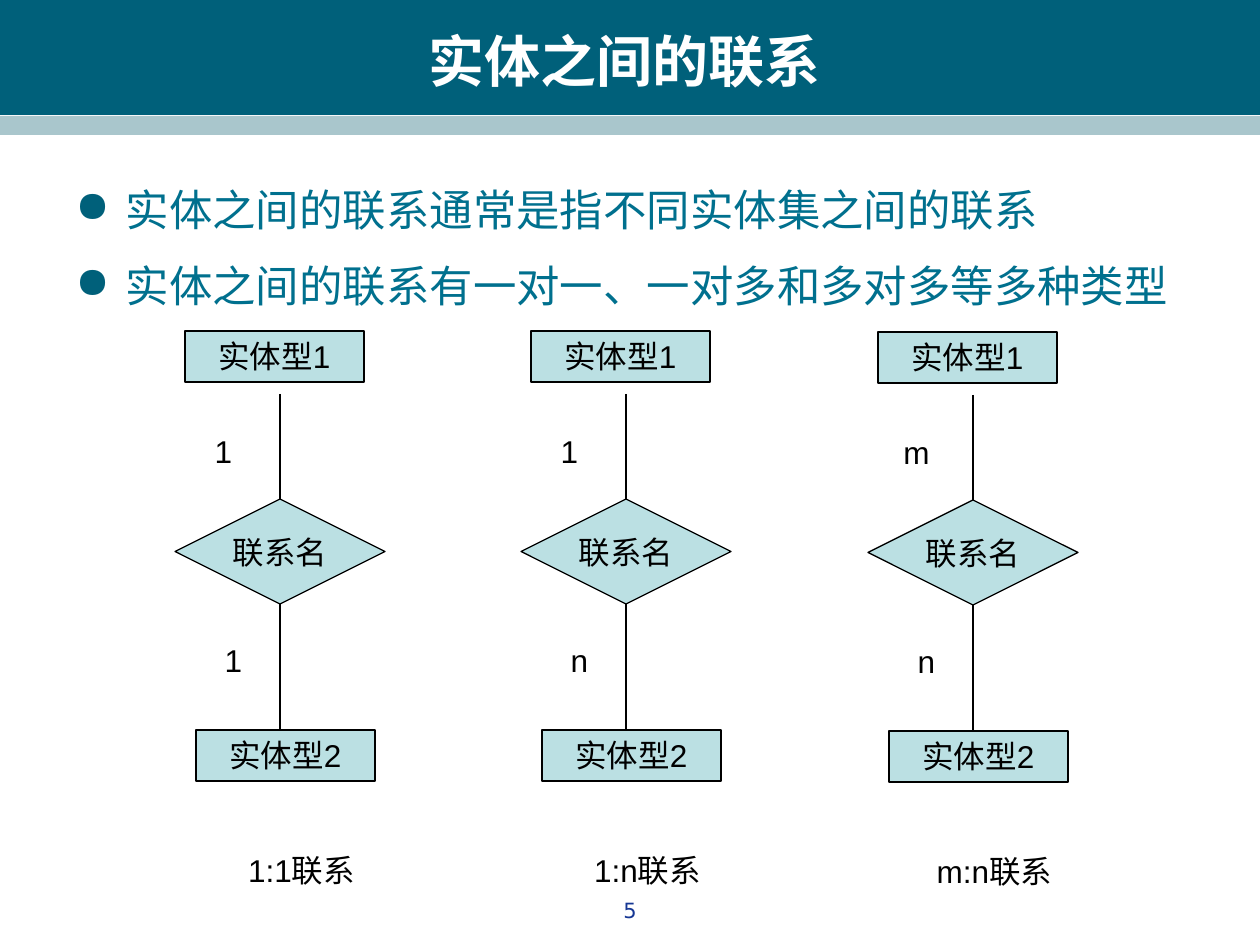
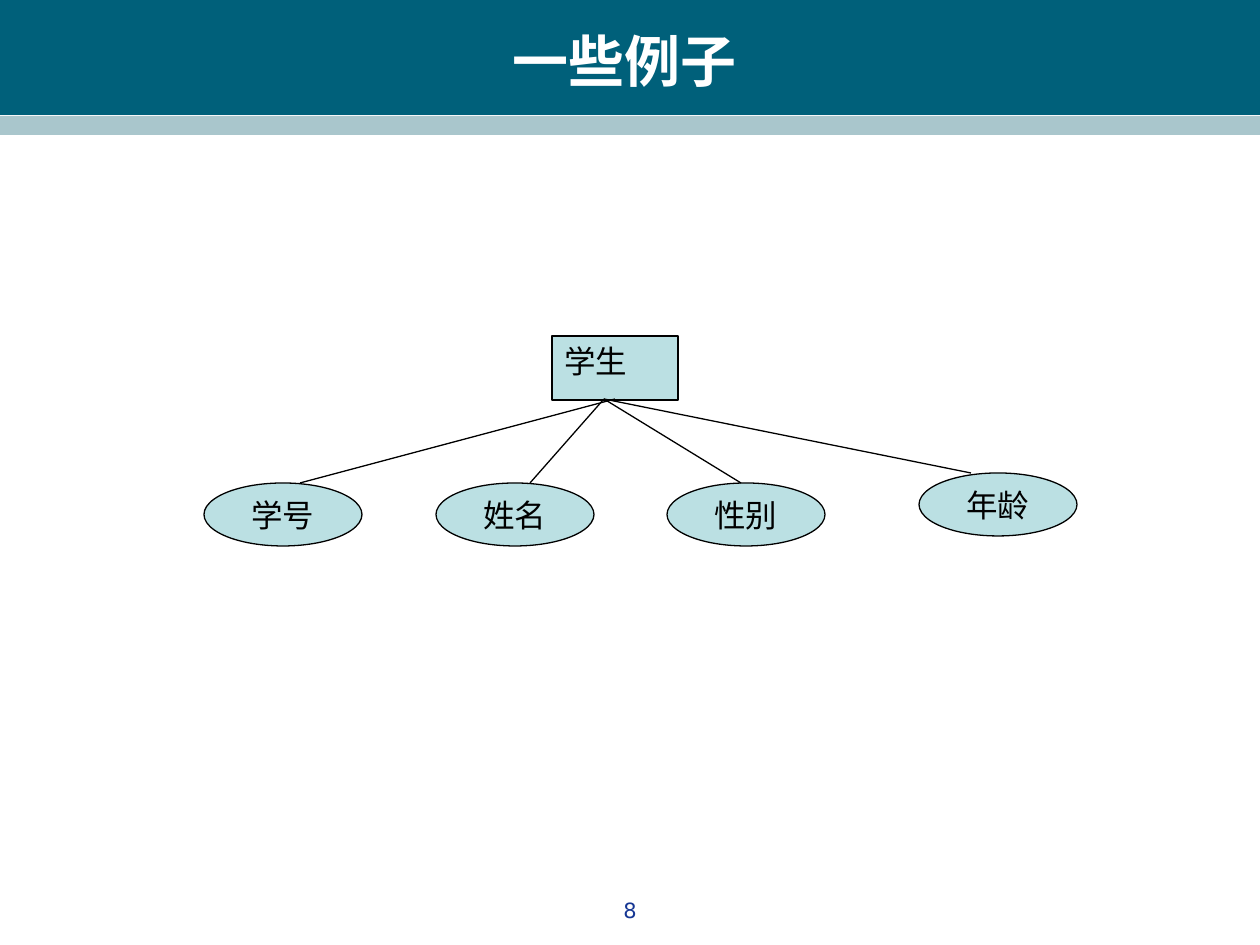
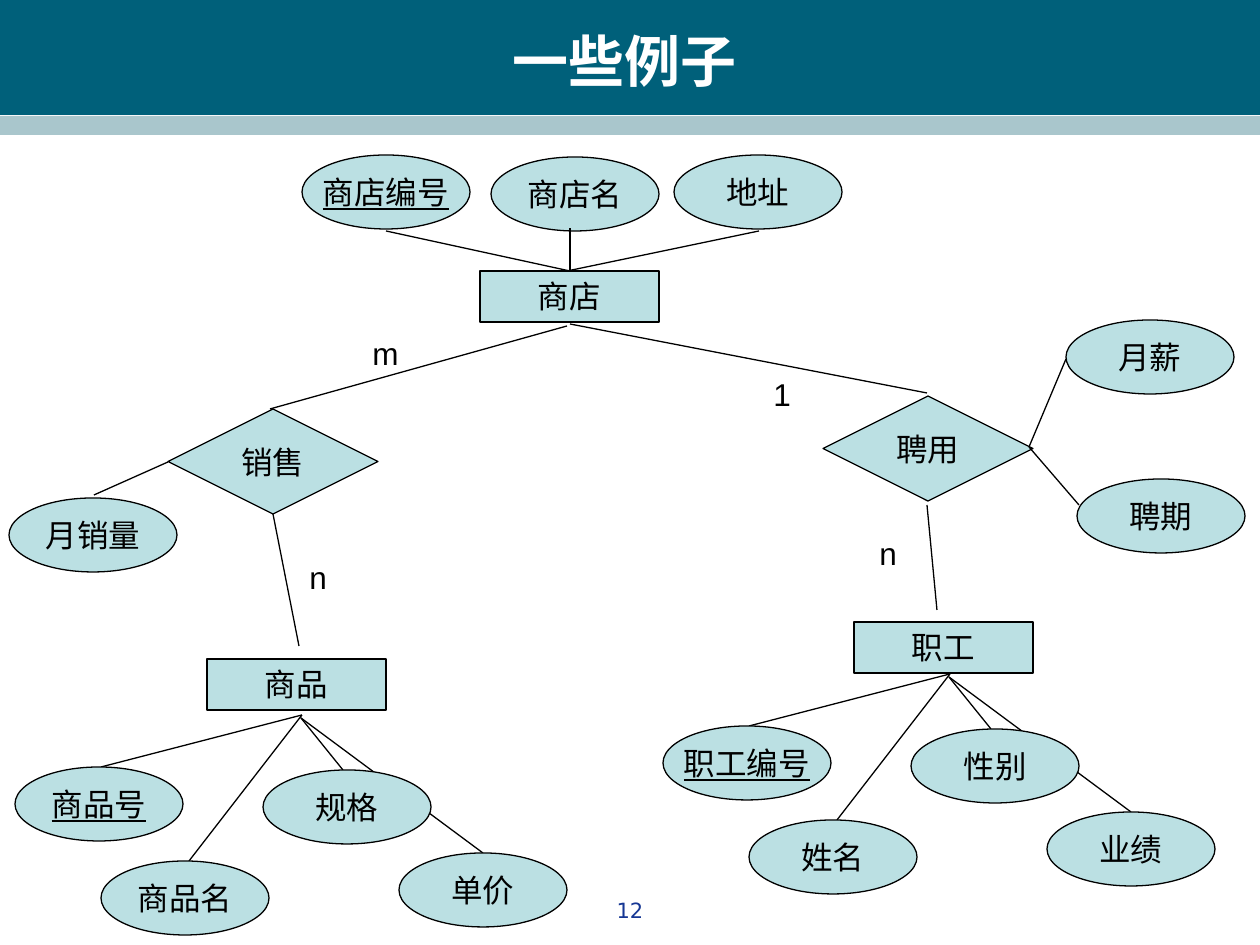
from dataclasses import dataclass
from pptx import Presentation
from pptx.dml.color import RGBColor
from pptx.enum import shapes, text
from pptx.oxml import xmlchemy
from pptx import util as u


@dataclass(frozen=True)
class Theme:
    band: str = "00607A"
    strip: str = "A9C6CC"
    node: str = "BBE0E3"
    ink: str = "000000"
    white: str = "FFFFFF"
    body: str = "00708E"
    page: str = "163794"
    sans: str = "Arial"
    head: str = "DejaVu Sans"
    big: float = 32
    mid: float = 24.8
    base: float = 18
    small: float = 12
    edge: float = 0.75


T = Theme()
PX = 914400 / 126
WIDE, HIGH = 1260, 945
S = shapes.MSO_SHAPE
LEFT, MID = text.PP_ALIGN.LEFT, text.PP_ALIGN.CENTER
TOP, CORE = text.MSO_ANCHOR.TOP, text.MSO_ANCHOR.MIDDLE
GROW = text.MSO_AUTO_SIZE.SHAPE_TO_FIT_TEXT

BOX, OVAL, GEM, TAG = (179, 51), (168, 74), (210, 105), (53, 50)
CHIP, CARD, NOTE = (158, 63), (126, 64), (189, 50)

POINTS = ["实体之间的联系通常是指不同实体集之间的联系",
          "实体之间的联系有一对一、一对多和多对多等多种类型"]
PAIRS = [("1", "1", 0), ("1", "n", 0), ("m", "n", 1)]

FIELDS = [("学号", 204, 483, 615, 300), ("姓名", 436, 483, 604, 530),
          ("性别", 667, 483, 604, 741), ("年龄", 919, 473, 604, 971)]

KEYS = {"商店编号", "商品号", "职工编号"}
RECTS = [("商店", 480, 271), ("商品", 207, 659), ("职工", 854, 622)]
GEMS = [("销售", 168, 409), ("聘用", 823, 396)]
OVALS = [("商店编号", 302, 155), ("商店名", 491, 157), ("地址", 674, 155),
         ("月薪", 1066, 320), ("聘期", 1077, 479), ("月销量", 9, 498)]
TAGS = [("1", 761, 369), ("n", 867, 528), ("n", 297, 552), ("m", 360, 328)]
LINKS = [(570, 271, 386, 231), (567, 271, 759, 231), (570, 271, 570, 228),
         (567, 326, 270, 409), (570, 324, 927, 393), (937, 610, 927, 505),
         (273, 514, 299, 646), (94, 495, 168, 462),
         (1029, 447, 1066, 359), (1029, 447, 1079, 505)]
FANS = [(302, 715, ["商品号", "商品名", "单价", "规格"]),
        (950, 674, ["职工编号", "姓名", "业绩", "性别"])]
SPOTS = [(-287, 52), (-201, 146), (97, 138), (-39, 55)]
RAYS = [(0, 0, -201, 52), (0, 0, -113, 146), (-1, 3, 41, 55), (-1, 3, 181, 138)]


def px(*vals):
    return [round(v * PX) for v in vals]


def style(obj, fmt):
    for key, val in fmt.items():
        setattr(obj, key, val)


def write(shape, lines, color=T.ink, size=T.base, face=T.sans,
          align=MID, frame=None, **font):
    tf = shape.text_frame
    style(tf, {"word_wrap": True, "vertical_anchor": TOP, **(frame or {})})
    for i, line in enumerate(lines):
        par = tf.add_paragraph() if i else tf.paragraphs[0]
        par.alignment = align
        run = par.add_run()
        run.text = line
        style(run.font, {"size": u.Pt(size), "name": face, **font})
        run.font.color.rgb = RGBColor.from_string(color)
    return tf


def label(sl, words, at, area, **fmt):
    return write(sl.shapes.add_textbox(*px(*at, *area)), [words], **fmt)


def form(sl, kind, at, area, fill, edge=None):
    shape = sl.shapes.add_shape(kind, *px(*at, *area))
    shape.shadow.inherit = False
    shape.fill.solid()
    shape.fill.fore_color.rgb = RGBColor.from_string(fill)
    if edge:
        shape.line.color.rgb = RGBColor.from_string(edge)
        shape.line.width = u.Pt(T.edge)
    else:
        shape.line.fill.background()
    return shape


def rect(sl, words, at, area=BOX, align=MID):
    shape = form(sl, S.RECTANGLE, at, area, T.node, T.ink)
    write(shape, [words], align=align, frame={"auto_size": GROW})


def node(sl, kind, words, at, area):
    shape = form(sl, kind, at, area, T.node, T.ink)
    write(shape, [words], underline=words in KEYS or None,
          frame={"word_wrap": False, "vertical_anchor": CORE})


def link(sl, *ends):
    line = sl.shapes.add_connector(shapes.MSO_CONNECTOR.STRAIGHT, *px(*ends))
    line.line.color.rgb = RGBColor.from_string(T.ink)
    line.line.width = u.Pt(T.edge)
    line.element.spPr.append(xmlchemy.OxmlElement("a:effectLst"))


def bullet(par):
    ppr = par._p.get_or_add_pPr()
    style(par, {"line_spacing": 1.3, "space_before": u.Pt(5)})
    ppr.set("marL", str(u.Inches(0.4)))
    ppr.set("indent", str(-u.Inches(0.4)))
    tint = xmlchemy.OxmlElement("a:buClr")
    hue = xmlchemy.OxmlElement("a:srgbClr")
    hue.set("val", T.band)
    tint.append(hue)
    mark = xmlchemy.OxmlElement("a:buChar")
    mark.set("char", "●")
    ppr.extend([tint, mark])


def start(deck, title, page):
    sl = deck.slides.add_slide(deck.slide_layouts[6])
    form(sl, S.RECTANGLE, (0, 0), (WIDE, 115), T.band)
    form(sl, S.RECTANGLE, (0, 116), (WIDE, 19), T.strip)
    label(sl, title, (42, 21), (1166, 78), color=T.white, size=T.big,
          face=T.head, bold=True, frame={"vertical_anchor": CORE})
    label(sl, page, (483, 891), (294, 44), color=T.page, size=T.small, face=T.head)
    return sl


def kinds(deck):
    sl = start(deck, "实体之间的联系", "5")
    body = sl.shapes.add_textbox(*px(63, 145, 1134, 189))
    tf = write(body, POINTS, color=T.body, size=T.mid, align=LEFT,
               frame={"vertical_anchor": CORE})
    for par in tf.paragraphs:
        bullet(par)
    for i, (top, low, dy) in enumerate(PAIRS):
        dx = i * 693 // 2
        rect(sl, "实体型1", (185 + dx, 331 + dy))
        node(sl, S.DIAMOND, "联系名", (175 + dx, 499 + dy), GEM)
        rect(sl, "实体型2", (196 + dx, 730 + dy))
        for y, end in [(394, 499), (604, 730)]:
            link(sl, 280 + dx, y + dy, 280 + dx, end + dy)
        for words, x, y, area in [(top, 197, 426, TAG), (low, 207, 635, TAG),
                                  (f"{top}:{low}联系", 207, 845, NOTE)]:
            label(sl, words, (x + dx, y + dy), area, frame={"auto_size": GROW})


def fields(deck):
    sl = start(deck, "一些例子", "8")
    rect(sl, "学生", (552, 336), CARD, LEFT)
    for words, x, y, root, tip in FIELDS:
        node(sl, S.OVAL, words, (x, y), CHIP)
        link(sl, root, 399, tip, y)


def shop(deck):
    sl = start(deck, "一些例子", "12")
    for words, *at in RECTS:
        rect(sl, words, at)
    for words, *at in GEMS:
        node(sl, S.DIAMOND, words, at, GEM)
    for words, *at in OVALS:
        node(sl, S.OVAL, words, at, OVAL)
    for ends in LINKS:
        link(sl, *ends)
    for x, y, names in FANS:
        for a, b, c, d in RAYS:
            link(sl, x + a, y + b, x + c, y + d)
        for words, (dx, dy) in zip(names, SPOTS):
            node(sl, S.OVAL, words, (x + dx, y + dy), OVAL)
    for words, *at in TAGS:
        label(sl, words, at, TAG, align=LEFT, frame={"auto_size": GROW})


def main():
    deck = Presentation()
    deck.slide_width, deck.slide_height = px(WIDE, HIGH)
    for make in (kinds, fields, shop):
        make(deck)
    deck.save("out.pptx")


if __name__ == "__main__":
    main()
